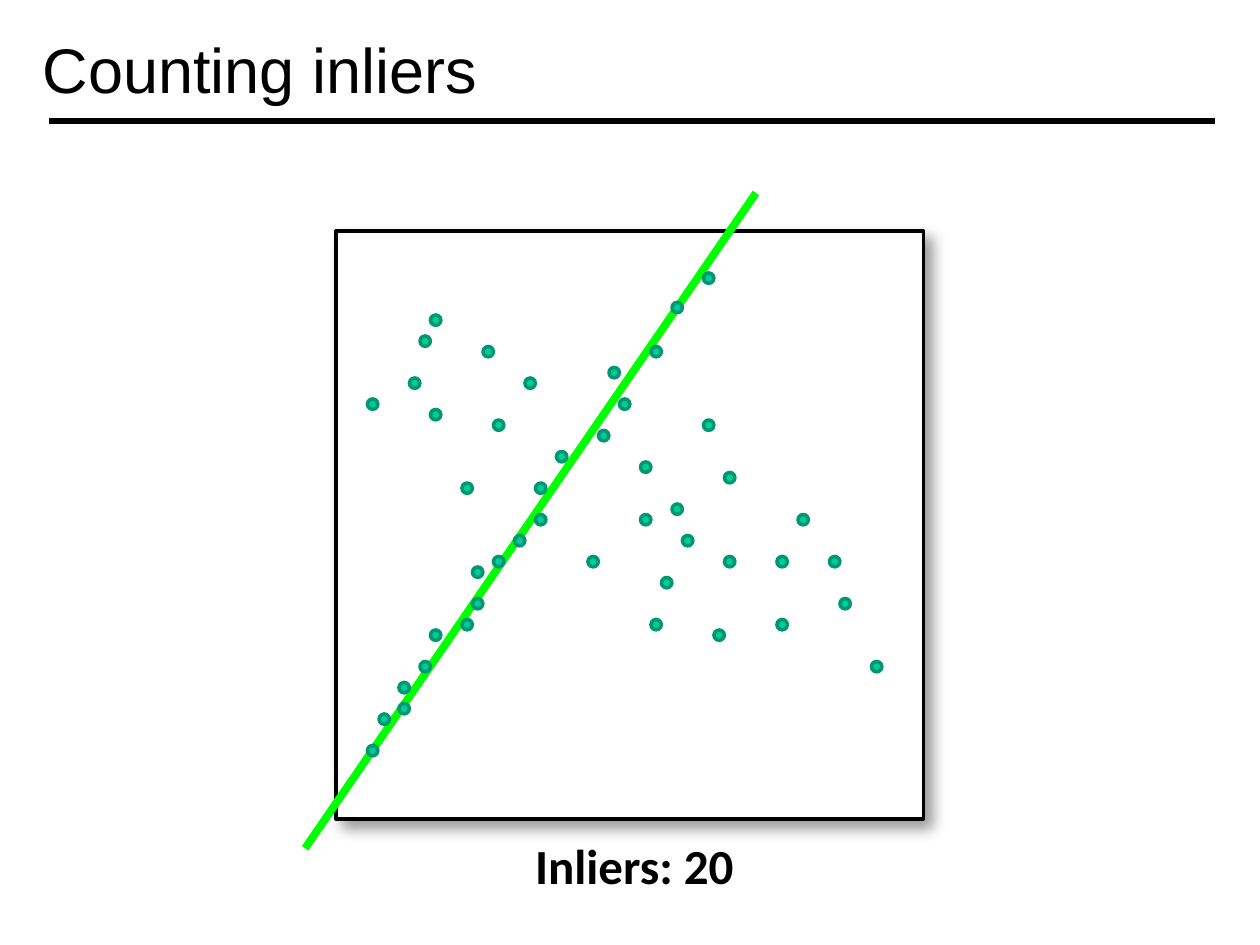
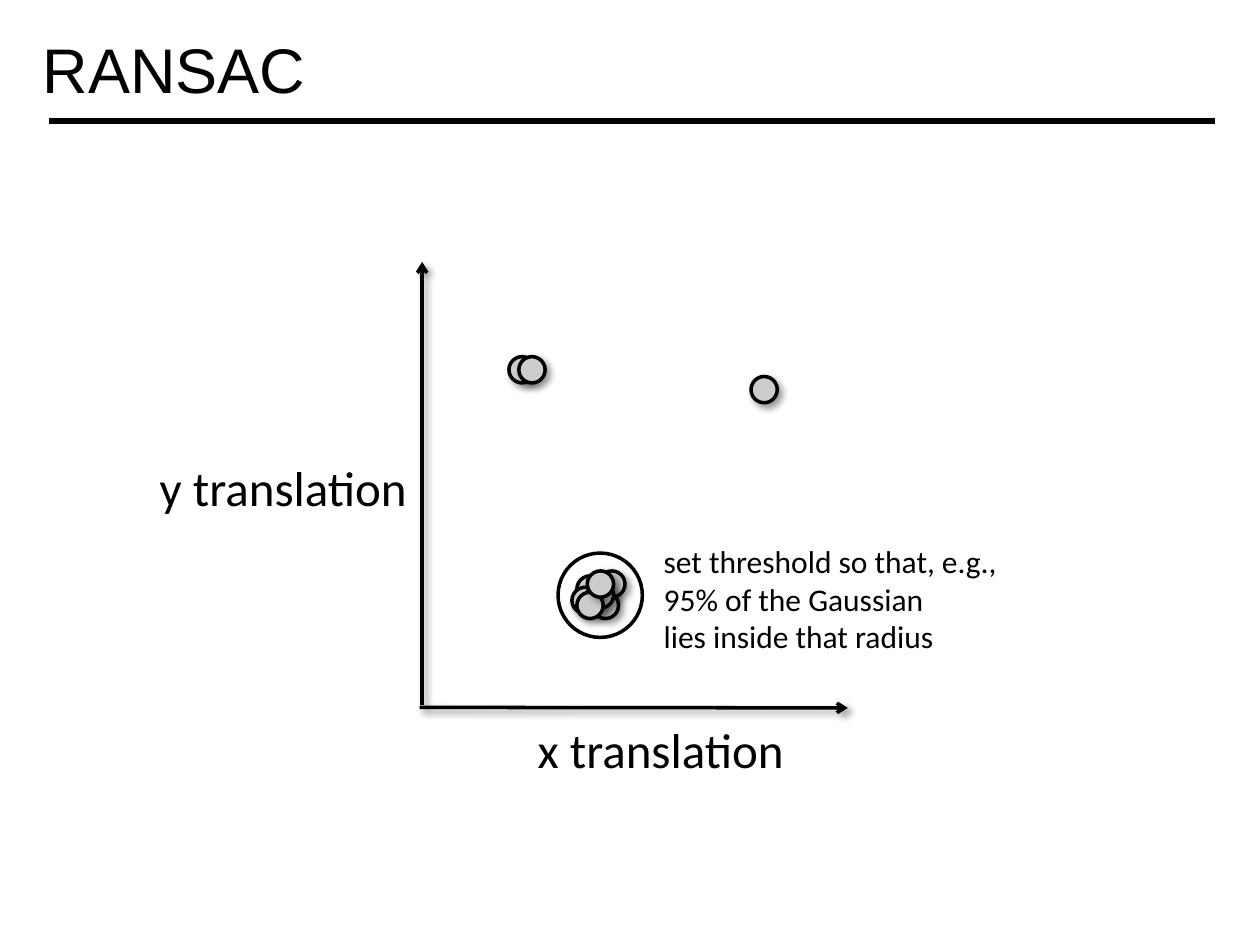
import lxml.etree
import pptx
import pptx.dml.color
import pptx.enum.shapes
import pptx.enum.text
import pptx.oxml.ns
import pptx.util

Cm = pptx.util.Cm
Pt = pptx.util.Pt
RGBColor = pptx.dml.color.RGBColor
OVAL = pptx.enum.shapes.MSO_SHAPE.OVAL
RECTANGLE = pptx.enum.shapes.MSO_SHAPE.RECTANGLE
qn = pptx.oxml.ns.qn

BLACK = RGBColor(0x00, 0x00, 0x00)
WHITE = RGBColor(0xFF, 0xFF, 0xFF)
FIT_GREEN = RGBColor(0x00, 0xFF, 0x00)
POINT_FILL = RGBColor(0x00, 0xCC, 0x99)
POINT_EDGE = RGBColor(0x00, 0x97, 0x71)
SAMPLE_GREY = RGBColor(0xCC, 0xCC, 0xCC)

TITLE_FONT = "Arial"
BODY_FONT = "Calibri"

PLOT_SHADOW = (8, 6)
SMALL_SHADOW = (4, 3)

GRID_STEP = 2.54 / 12
POINT_SIZE = 0.21
SAMPLE_SIZE = 0.53

INLIERS = [
    (45, 57), (47, 53), (41, 60), (44, 59), (40, 63), (38, 65), (36.1, 68),
    (35, 71), (38, 67), (45, 54), (49, 51), (51, 49), (51, 46), (53, 43),
    (57, 41), (59, 38), (58, 35), (62, 33), (64, 28.8), (67, 26),
]
OUTLIERS = [
    (69, 53), (63, 55), (61, 49), (65, 51), (64, 48), (69, 45), (67, 40),
    (61, 44), (56, 53), (62, 59), (68, 60), (74, 59), (80, 57), (79, 53),
    (74, 53), (76, 49), (83, 63), (50, 36), (47, 40), (41, 39), (44, 46),
    (46, 33), (40, 32), (35, 38), (39, 36), (41, 30),
]
TRANSLATION_SAMPLES = [
    (11.63, 11.61), (12.07, 11.51), (11.53, 11.84), (10.26, 7.19),
    (10.46, 7.19), (11.94, 11.94), (11.84, 11.73), (11.63, 11.94),
    (11.84, 11.51), (15.14, 7.59),
]


def set_shadow(item, shadow):
    effects = lxml.etree.SubElement(item.element.spPr, qn("a:effectLst"))
    if shadow is None:
        return
    blur, distance = shadow
    outer = lxml.etree.SubElement(
        effects, qn("a:outerShdw"), blurRad=str(Pt(blur)), dist=str(Pt(distance)),
        dir=str(45 * 60000), algn="tl", rotWithShape="0")
    colour = lxml.etree.SubElement(outer, qn("a:srgbClr"), val=str(BLACK))
    lxml.etree.SubElement(colour, qn("a:alpha"), val="40000")


def add_outlined(slide, preset, left, top, size, fill, edge=BLACK, shadow=None):
    shape = slide.shapes.add_shape(preset, Cm(left), Cm(top), Cm(size), Cm(size))
    if fill is None:
        shape.fill.background()
    else:
        shape.fill.solid()
        shape.fill.fore_color.rgb = fill
    shape.line.color.rgb = edge
    shape.line.width = Pt(2)
    set_shadow(shape, shadow)


def add_line(slide, start, end, width, colour=BLACK, arrow=False, shadow=None):
    line = slide.shapes.add_connector(
        pptx.enum.shapes.MSO_CONNECTOR.STRAIGHT, *map(Cm, start + end))
    line.line.color.rgb = colour
    line.line.width = Pt(width)
    if arrow:
        lxml.etree.SubElement(line.line._get_or_add_ln(), qn("a:tailEnd"), type="arrow")
    set_shadow(line, shadow)


def add_text(slide, box, lines, size, font=BODY_FONT, bold=False, wrap=False):
    frame = slide.shapes.add_textbox(*map(Cm, box)).text_frame
    frame.word_wrap = wrap
    frame.auto_size = pptx.enum.text.MSO_AUTO_SIZE.SHAPE_TO_FIT_TEXT
    for index, line in enumerate(lines):
        paragraph = frame.add_paragraph() if index else frame.paragraphs[0]
        run = paragraph.add_run()
        run.text = line
        run.font.name = font
        run.font.size = Pt(size)
        run.font.bold = bold
        run.font.color.rgb = BLACK
    return frame


def add_titled_slide(deck, title):
    slide = deck.slides.add_slide(deck.slide_layouts[6])
    add_line(slide, (0.99, 2.44), (24.49, 2.44), 3)
    heading = add_text(slide, (0.61, 0.2, 24.23, 2.34), [title], 36, TITLE_FONT, wrap=True)
    heading.auto_size = pptx.enum.text.MSO_AUTO_SIZE.NONE
    heading.vertical_anchor = pptx.enum.text.MSO_ANCHOR.MIDDLE
    return slide


def build_counting_inliers(deck):
    slide = add_titled_slide(deck, "Counting inliers")
    add_outlined(slide, RECTANGLE, 6.77, 4.66, 11.85, WHITE, shadow=PLOT_SHADOW)
    add_line(slide, (6.15, 17.1), (15.24, 3.89), 4.5, FIT_GREEN)
    for column, row in INLIERS + OUTLIERS:
        add_outlined(slide, OVAL, column * GRID_STEP, row * GRID_STEP,
                     POINT_SIZE, POINT_FILL, POINT_EDGE)
    add_text(slide, (10.54, 16.71, 4.57, 1.45), [f"Inliers: {len(INLIERS)}"], 28, bold=True)


def build_ransac(deck):
    slide = add_titled_slide(deck, "RANSAC")
    for start, end in [((8.51, 14.22), (8.51, 5.28)), ((8.46, 14.26), (17.09, 14.27))]:
        add_line(slide, start, end, 2, arrow=True, shadow=SMALL_SHADOW)
    add_text(slide, (10.59, 14.38, 5.54, 1.45), ["x translation"], 28)
    add_text(slide, (2.97, 9.09, 5.56, 1.45), ["y translation"], 28)
    for left, top in TRANSLATION_SAMPLES:
        add_outlined(slide, OVAL, left, top, SAMPLE_SIZE, SAMPLE_GREY, shadow=SMALL_SHADOW)
    add_outlined(slide, OVAL, 11.25, 11.15, 1.7, None)
    add_text(slide, (13.13, 10.8, 7.82, 2.57),
             ["set threshold so that, e.g., 95% of the Gaussian", "lies inside that radius"],
             18, wrap=True)


def main():
    deck = pptx.Presentation()
    deck.slide_width = Cm(25.4)
    deck.slide_height = Cm(19.05)
    build_counting_inliers(deck)
    build_ransac(deck)
    deck.save("out.pptx")


if __name__ == "__main__":
    main()
